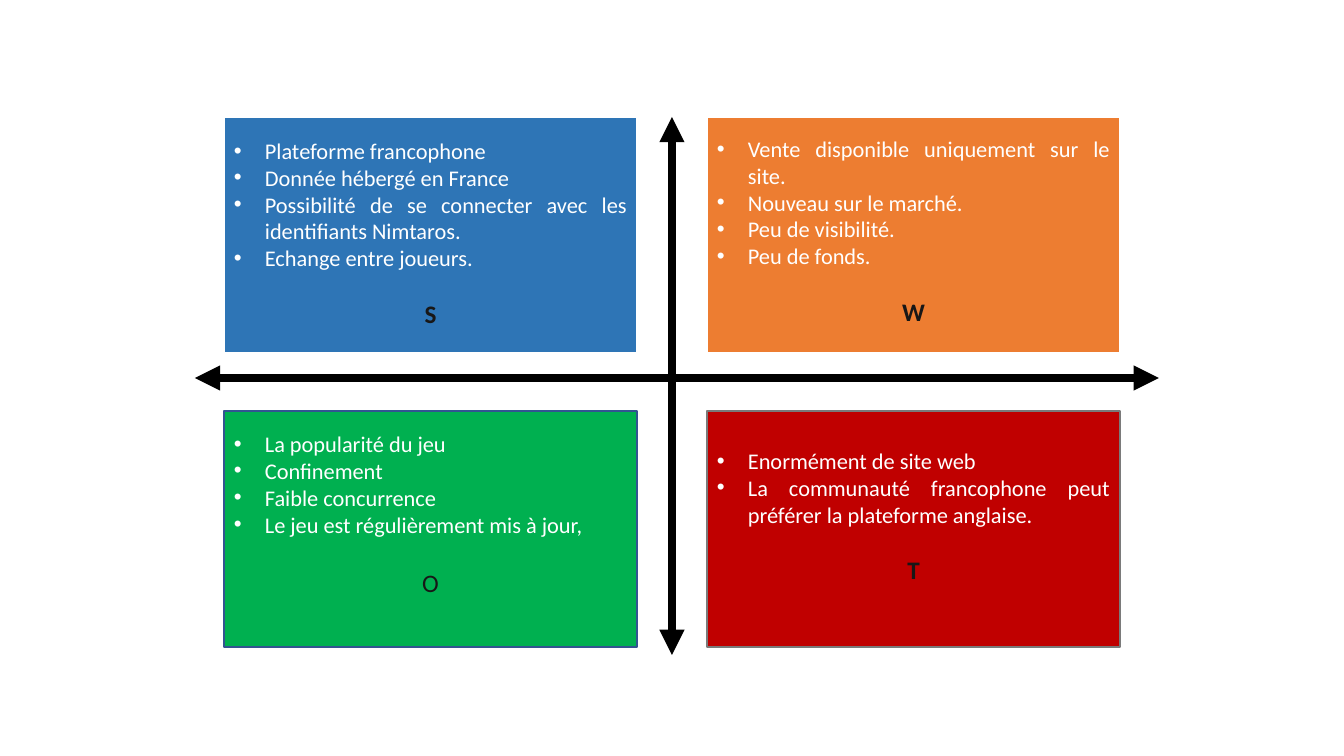
from dataclasses import dataclass

from lxml.etree import SubElement
from pptx import Presentation
from pptx.dml.color import RGBColor
from pptx.enum.shapes import MSO_CONNECTOR, MSO_SHAPE
from pptx.enum.text import MSO_ANCHOR, PP_ALIGN
from pptx.oxml.ns import qn
from pptx.util import Emu, Pt

# Content: letter, bold, fill, outline, text top inset, gap above letter, bullets
QUADRANTS = [
    ("S", True, "2E75B6", "FFFFFF", 20, 27, [
        "Plateforme francophone",
        "Donnée hébergé en France",
        "Possibilité de se connecter avec les identifiants Nimtaros.",
        "Echange entre joueurs.",
    ]),
    ("W", True, "ED7D31", "FFFFFF", 18, 27, [
        "Vente disponible uniquement sur le site.",
        "Nouveau sur le marché.",
        "Peu de visibilité.",
        "Peu de fonds.",
    ]),
    ("O", False, "00B050", "325491", 19, 30, [
        "La popularité du jeu",
        "Confinement",
        "Faible concurrence",
        "Le jeu est régulièrement mis à jour,",
    ]),
    ("T", True, "C00000", "7A7A7A", 36, 27, [
        "Enormément de site web",
        "La communauté francophone peut préférer la plateforme anglaise.",
    ]),
]


@dataclass(frozen=True)
class Theme:
    font: str = "Calibri"
    bullet_color: str = "FFFFFF"
    letter_color: str = "181717"
    axis_color: str = "000000"
    bullet_size: int = 16
    letter_size: int = 18
    outline_width: int = 1
    axis_width: int = 6


THEME = Theme()

# Geometry in px
SLIDE_W, SLIDE_H = 1344, 756
GRID_LEFT, GRID_TOP = 224, 117
BOX_W, BOX_H = 413, 236
STEP_X, STEP_Y = 483, 294
BULLET_INDENT = 31
AXES = [(195, 378, 1159, 378), (672, 117, 672, 655)]


def px(length):
    return Emu(round(length * 914400 / 100.8))


def style_font(paragraph, size, color, bold=False):
    font = paragraph.font
    font.name = THEME.font
    font.size = Pt(size)
    font.bold = bold
    font.color.rgb = RGBColor.from_string(color)


def add_bullet(paragraph, text):
    paragraph.text = text
    paragraph.alignment = PP_ALIGN.JUSTIFY
    style_font(paragraph, THEME.bullet_size, THEME.bullet_color)
    properties = paragraph._p.get_or_add_pPr()
    properties.set("marL", str(px(BULLET_INDENT)))
    properties.set("indent", str(-px(BULLET_INDENT)))
    marker_font = properties.makeelement(qn("a:buFont"), {"typeface": "Arial"})
    marker = properties.makeelement(qn("a:buChar"), {"char": "•"})
    # Bullet elements precede the default run properties
    properties.insert(0, marker_font)
    properties.insert(1, marker)


def add_quadrant(slide, index, quadrant):
    letter, bold, fill, outline, inset, gap, bullets = quadrant
    row, column = divmod(index, 2)
    box = slide.shapes.add_shape(
        MSO_SHAPE.RECTANGLE,
        px(GRID_LEFT + column * STEP_X), px(GRID_TOP + row * STEP_Y),
        px(BOX_W), px(BOX_H))
    box.shadow.inherit = False
    box.fill.solid()
    box.fill.fore_color.rgb = RGBColor.from_string(fill)
    box.line.color.rgb = RGBColor.from_string(outline)
    box.line.width = Pt(THEME.outline_width)

    frame = box.text_frame
    frame.word_wrap = True
    frame.vertical_anchor = MSO_ANCHOR.TOP
    frame.margin_top = px(inset)
    for number, text in enumerate(bullets):
        add_bullet(frame.add_paragraph() if number else frame.paragraphs[0], text)

    heading = frame.add_paragraph()
    heading.text = letter
    heading.alignment = PP_ALIGN.CENTER
    heading.space_before = px(gap)
    style_font(heading, THEME.letter_size, THEME.letter_color, bold)


def add_axis(slide, ends):
    axis = slide.shapes.add_connector(MSO_CONNECTOR.STRAIGHT, *map(px, ends))
    axis.line.color.rgb = RGBColor.from_string(THEME.axis_color)
    axis.line.width = Pt(THEME.axis_width)
    outline = axis.line._get_or_add_ln()
    for end in ("a:headEnd", "a:tailEnd"):
        SubElement(outline, qn(end), type="triangle")
    SubElement(axis._element.spPr, qn("a:effectLst"))


def main():
    deck = Presentation()
    deck.slide_width, deck.slide_height = px(SLIDE_W), px(SLIDE_H)
    slide = deck.slides.add_slide(deck.slide_layouts[6])

    # SWOT grid, then the two crossing axes
    for index, quadrant in enumerate(QUADRANTS):
        add_quadrant(slide, index, quadrant)
    for ends in AXES:
        add_axis(slide, ends)

    deck.save("out.pptx")


if __name__ == "__main__":
    main()
